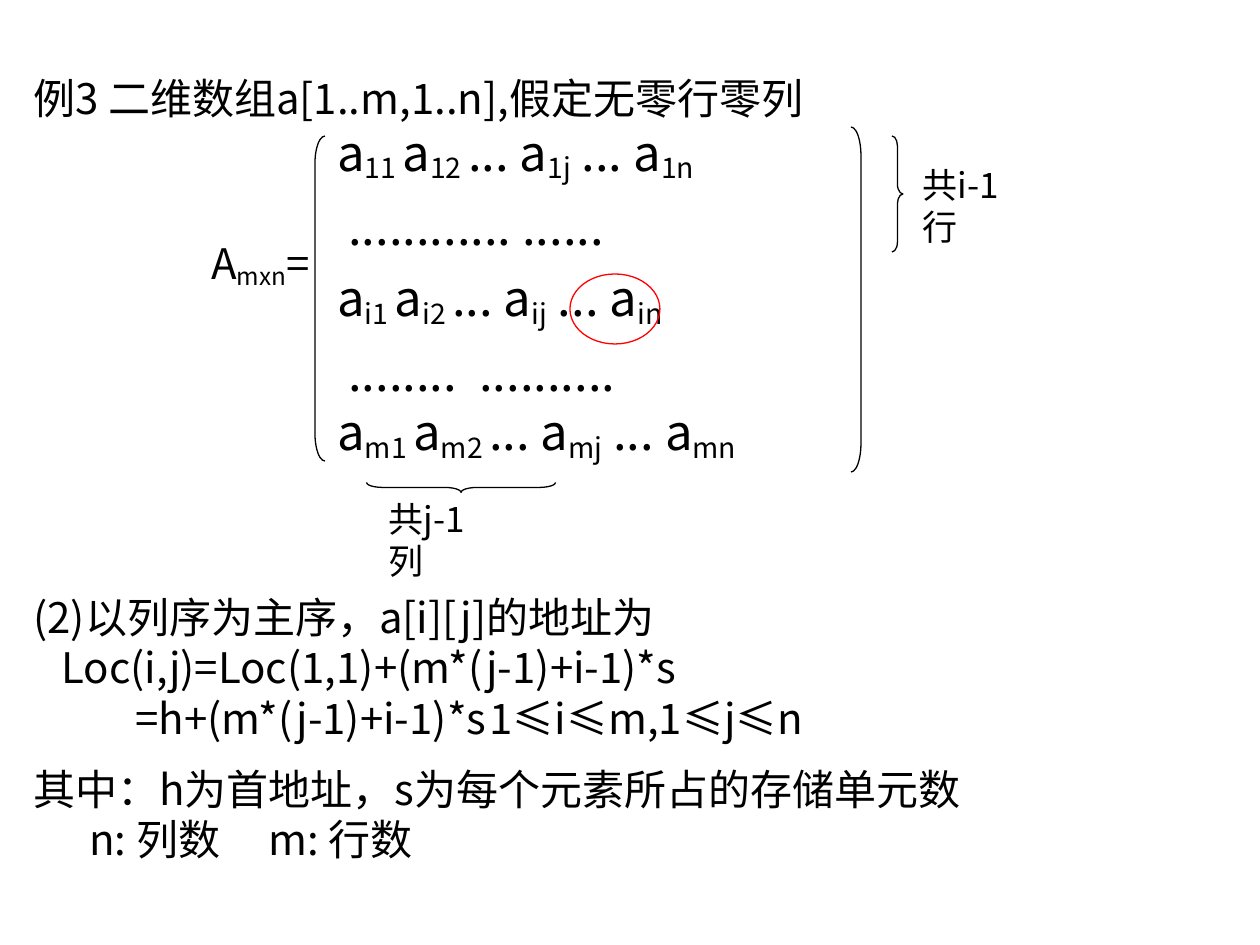
import pptx
import pptx.util
import pptx.dml.color
import pptx.enum.shapes
import pptx.oxml.ns
from lxml import etree

PX = 914400 // 126
FONT = "Noto Sans CJK SC"
BLACK, RED = "000000", "FF0000"
KIND = pptx.enum.shapes.MSO_SHAPE


def emu(*sizes):
    return [size * PX for size in sizes]


def color(code):
    return pptx.dml.color.RGBColor.from_string(code)


def line(para, runs, size, before=0, left=0, first=0):
    """Fill a paragraph; every second run is a subscript.

    Default tab stops count from the left margin.
    """
    props = para._p.get_or_add_pPr()
    props.set("marL", str(left * PX))
    props.set("indent", str(first * PX))
    para.space_before = pptx.util.Pt(before)
    for i, part in enumerate(runs):
        run = para.add_run()
        run.text = part
        font = run.font
        font.size = pptx.util.Pt(size)
        font.name = FONT
        font.color.rgb = color(BLACK)
        if i % 2:
            font._element.set("baseline", "-16000")
        etree.SubElement(font._element, pptx.oxml.ns.qn("a:ea"), typeface=FONT)


def text(slide, box, size, rows):
    """Place a text box; each row is its runs and its paragraph options."""
    frame = slide.shapes.add_textbox(*emu(*box)).text_frame
    frame.word_wrap = True
    for i, (runs, opts) in enumerate(rows):
        para = frame.add_paragraph() if i else frame.paragraphs[0]
        line(para, runs, size, **opts)


def outline(slide, kind, box, code=BLACK, adjust=None, turn=0):
    shape = slide.shapes.add_shape(kind, *emu(*box))
    shape.shadow.inherit = False
    shape.fill.background()
    shape.line.color.rgb = color(code)
    shape.line.width = pptx.util.Pt(0.75)
    shape.rotation = turn
    if adjust:
        shape.adjustments[0] = adjust


def entries(row):
    """Runs for one matrix row: first, second, j-th and last entry."""
    return ["a", row + "1 ", "a", row + "2 ", "... a", row + "j", " ... a", row + "n"]


def matrix(slide, x, y):
    text(slide, (x - 116, y + 115, 126, 117), 24, [(["A", "mxn", "="], {})])
    outline(slide, KIND.LEFT_BRACKET, (x, y + 20, 10, 325), adjust=2.75)
    outline(slide, KIND.RIGHT_BRACKET, (x + 536, y + 11, 10, 345), adjust=2.88)
    text(slide, (x + 10, y, 577, 355), 28, [
        (entries("1"), {}),
        (["............ ......"], {"before": 7, "left": 11}),
        (entries("i"), {"before": 7}),
        (["........\t.........."], {"before": 7, "left": 16, "first": -5}),
        (entries("m"), {}),
    ])
    outline(slide, KIND.OVAL, (x + 255, y + 158, 90, 70), RED)


def counts(slide, x, y):
    """Braces that count the rows and columns before the entry."""
    outline(slide, KIND.RIGHT_BRACE, (x + 525, y, 11, 116), adjust=0.9)
    text(slide, (x + 543, y + 21, 130, 98), 20, [(["共i-1行"], {})])
    outline(slide, KIND.RIGHT_BRACE, (x + 89, y + 257, 10, 189), adjust=1.6, turn=90)
    text(slide, (x + 9, y + 355, 130, 98), 20, [(["共j-1列"], {})])


def address(slide, x, y):
    text(slide, (x, y, 1155, 286), 24, [
        (["(2)以列序为主序，a[i][j]的地址为"], {}),
        (["Loc(i,j)=Loc(1,1)+(m*(j-1)+i-1)*s"], {"left": 28}),
        (["=h+(m*(j-1)+i-1)*s\t1≤i≤m,1≤j≤n"], {"left": 15, "first": 87}),
        (["其中：h为首地址，s为每个元素所占的存储单元数"], {"before": 12}),
        (["n: 列数\tm: 行数"], {"left": 46, "first": 10}),
    ])


def main():
    deck = pptx.Presentation()
    deck.slide_width, deck.slide_height = emu(1260, 945)
    slide = deck.slides.add_slide(deck.slide_layouts[6])
    text(slide, (21, 66, 1207, 60), 24, [(["例3 二维数组a[1..m,1..n],假定无零行零列"], {})])
    matrix(slide, 315, 116)
    counts(slide, 367, 136)
    address(slide, 21, 585)
    deck.save("out.pptx")


if __name__ == "__main__":
    main()
